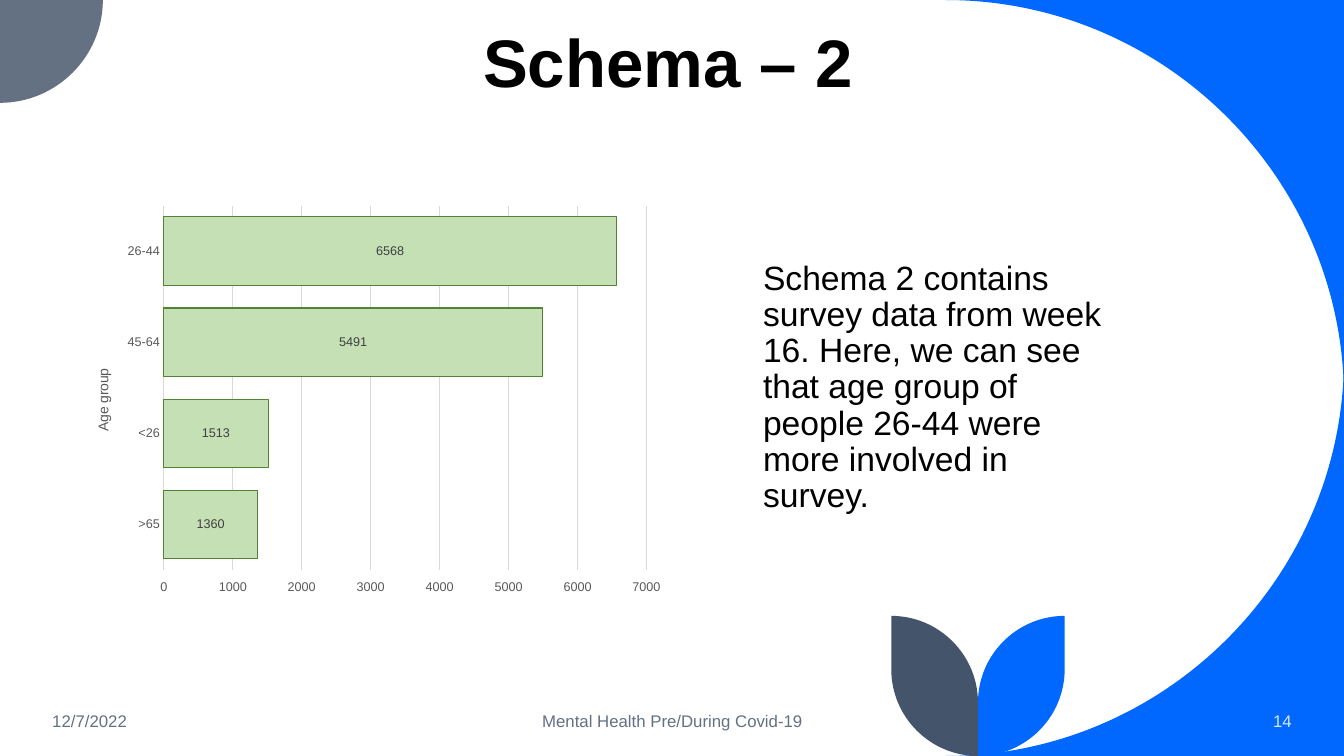
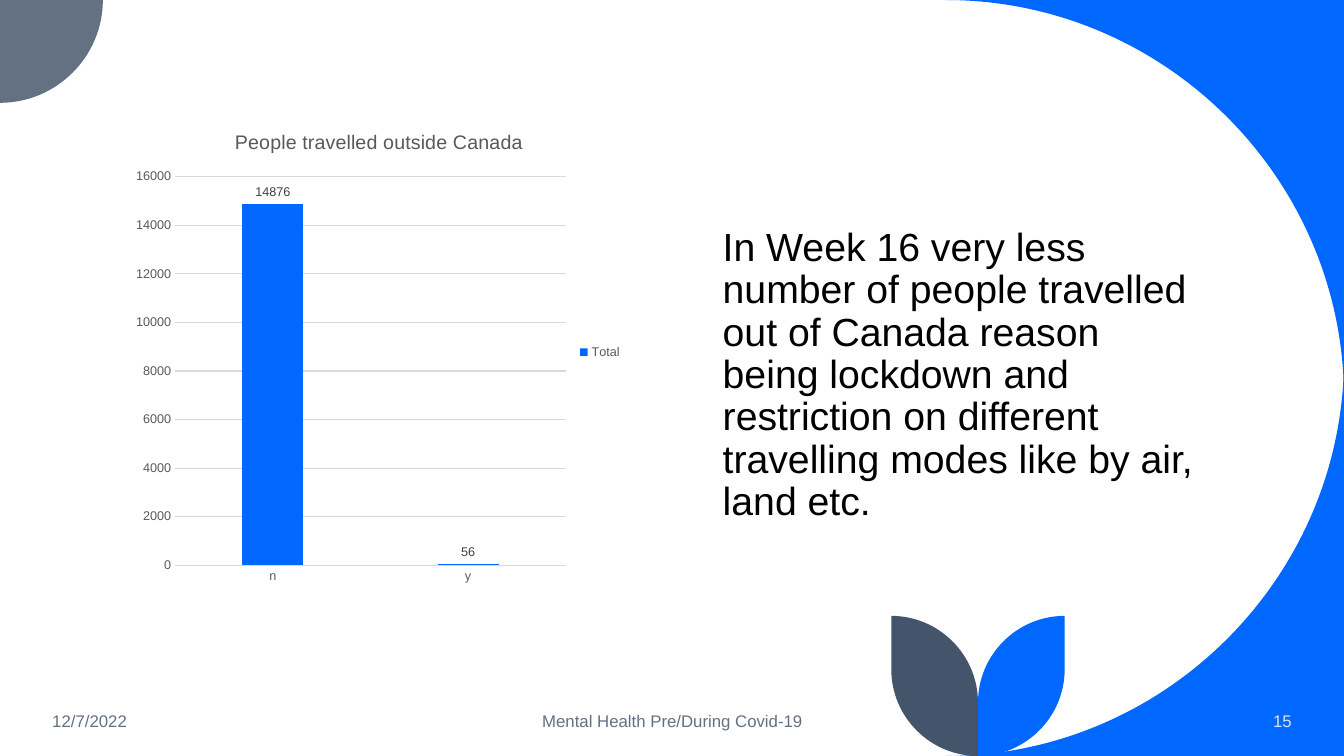
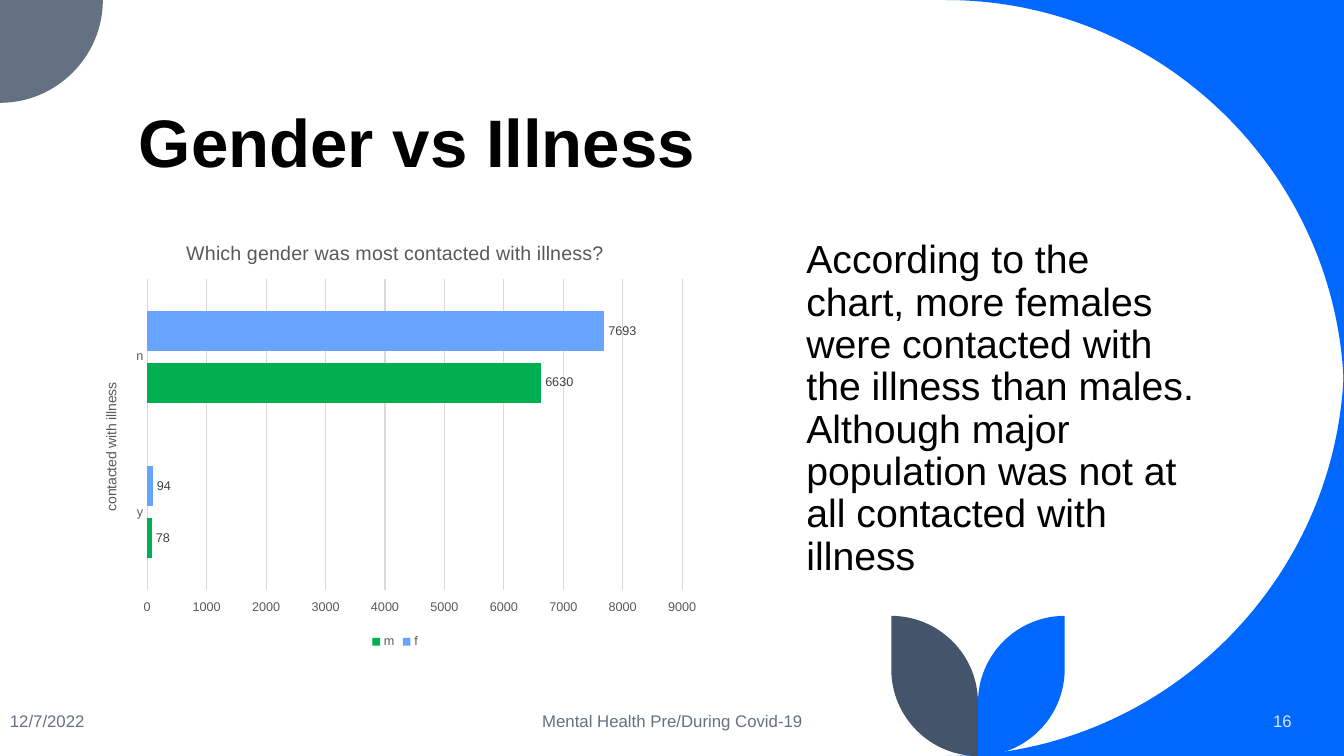
"""Build three survey slides, each with a chart and a short comment."""
from math import cos, radians, sin

from pptx import Presentation
from pptx.chart.data import CategoryChartData
from pptx.dml.color import RGBColor
from pptx.enum.chart import (
    XL_CHART_TYPE as ChartType,
    XL_LABEL_POSITION as LabelPosition,
    XL_LEGEND_POSITION as LegendPosition,
    XL_TICK_LABEL_POSITION as TickLabelPosition,
    XL_TICK_MARK as TickMark,
)
from pptx.enum.text import MSO_ANCHOR as Anchor, PP_ALIGN as Align
from pptx.oxml.ns import qn
from pptx.util import Inches, Pt

FONT = "Arial"
COLOURS = {
    "blue": "0068FF", "sky": "66A4FF", "green": "00B050", "mint": "C5E0B4",
    "moss": "548235", "slate": "637183", "navy": "44546A", "pale": "DAE5EF",
    "black": "000000", "label": "404040", "axis": "595959", "grid": "D9D9D9",
}
CURVE_RATIO = 0.55
LEAF_X, LEAF_R = 9.7, 0.86
DECORATIONS = [
    {"colour": "blue", "arcs": [(9.38, 3.95, 3.95, 270)], "corners": [(13.33, 0)]},
    {"colour": "blue", "arcs": [(9.38, 3.55, 3.95, 0)], "corners": [(13.33, 7.5)]},
    {"colour": "slate", "arcs": [(0, 0, 1.02, 0)], "corners": [(0, 0)]},
    {"colour": "blue", "corners": [],
     "arcs": [(LEAF_X, 6.64, LEAF_R, 0), (LEAF_X + LEAF_R, 6.97, LEAF_R, 180)]},
    {"colour": "navy", "corners": [],
     "arcs": [(LEAF_X, 6.64, LEAF_R, 90), (LEAF_X - LEAF_R, 6.97, LEAF_R, 270)]},
]
DATE, FOOTER = "12/7/2022", "Mental Health Pre/During Covid-19"
SLIDES = [
    {
        "number": "14", "date_left": 0.42,
        "title": ("Schema – 2", (1.28, 0.18, 10.69, 0.88), Align.CENTER),
        "body": ("Schema 2 contains survey data from week 16. Here, we can see that "
                 "age group of people 26-44 were more involved in survey.",
                 (7.47, 2.54, 3.64, 2.42), 24),
        "chart": {
            "type": ChartType.BAR_STACKED, "place": (0.73, 1.96, 5.94, 4.02),
            "axis_title": "Age group", "reverse": True, "gap": 33, "overlap": 100,
            "labels": LabelPosition.CENTER,
            "categories": ["26-44", "45-64", "<26", ">65"],
            "series": [("Series 1", [6568, 5491, 1513, 1360], "mint", "moss")],
        },
    },
    {
        "number": "15", "date_left": 0.42,
        "body": ("In Week 16 very less number of people travelled out of Canada reason "
                 "being lockdown and restriction on different travelling modes like "
                 "by air, land etc.", (7.07, 2.21, 4.9, 3.27), 28),
        "chart": {
            "type": ChartType.COLUMN_CLUSTERED, "place": (1.25, 1.1, 5.02, 4.79),
            "title": "People travelled outside Canada",
            "legend": LegendPosition.RIGHT, "gap": 219, "overlap": -27,
            "labels": LabelPosition.OUTSIDE_END,
            "categories": ["n", "y"],
            "series": [("Total", [14876, 56], "blue", None)],
        },
    },
    {
        "number": "16", "date_left": 0,
        "title": ("Gender vs Illness", (1.28, 0.41, 10.69, 1.45), Align.LEFT),
        "body": ("According to the chart, more females were contacted with the illness "
                 "than males. Although major population was not at all contacted with "
                 "illness", (7.9, 2.33, 4.07, 3.55), 28),
        "chart": {
            "type": ChartType.BAR_CLUSTERED, "place": (0.81, 2.21, 6.22, 4.27),
            "title": "Which gender was most contacted with illness?",
            "axis_title": "contacted with illness", "reverse": True,
            "legend": LegendPosition.BOTTOM, "gap": 160, "overlap": -30,
            "labels": LabelPosition.OUTSIDE_END,
            "categories": ["n", "y"],
            "series": [("f", [7693, 94], "sky", None), ("m", [6630, 78], "green", None)],
        },
    },
]


def rgb(name):
    return RGBColor.from_string(COLOURS[name])


def set_font(font, size, colour, bold=False):
    for key, value in {"name": FONT, "size": Pt(size), "bold": bold}.items():
        setattr(font, key, value)
    font.color.rgb = rgb(colour)


def set_line(line, colour):
    line.color.rgb = rgb(colour)
    line.width = Pt(0.75)


def add_text(page, text, place, size, colour, align=Align.LEFT, anchor=Anchor.TOP,
             bold=False, spacing=1.0, before=0):
    frame = page.shapes.add_textbox(*map(Inches, place)).text_frame
    frame.word_wrap = True
    frame.vertical_anchor = anchor
    para = frame.paragraphs[0]
    formats = {"alignment": align, "line_spacing": spacing, "space_before": Pt(before)}
    for key, value in formats.items():
        setattr(para, key, value)
    span = para.add_run()
    span.text = text
    set_font(span.font, size, colour, bold)


def arc_points(centre_x, centre_y, radius, start):
    """Return the four Bezier points of a clockwise quarter circle."""
    points = []
    for angle, pulls in ((start, (0, CURVE_RATIO)), (start + 90, (-CURVE_RATIO, 0))):
        across, down = cos(radians(angle)), sin(radians(angle))
        points += [(centre_x + radius * (across - pull * down),
                    centre_y + radius * (down + pull * across)) for pull in pulls]
    return points


def add_decoration(page, colour, arcs, corners):
    points = [point for arc in arcs for point in arc_points(*arc)] + corners
    outline = [(Inches(x), Inches(y)) for x, y in points]
    builder = page.shapes.build_freeform(*outline[0])
    builder.add_line_segments(outline[1:], close=True)
    shape = builder.convert_to_shape()
    track = next(shape.element.iter(qn("a:path")))
    segments = list(track)
    for first in range(1, 4 * len(arcs), 4):
        curve, *others = segments[first:first + 3]
        curve.tag = qn("a:cubicBezTo")
        for segment in others:
            curve.append(segment[0])
            track.remove(segment)
    shape.shadow.inherit = False
    shape.fill.solid()
    shape.fill.fore_color.rgb = rgb(colour)
    shape.line.fill.background()


def fill_heading(heading, text, size):
    frame = heading.text_frame
    frame.text = text
    set_font(frame.paragraphs[0].runs[0].font, size, "axis")


def style_axes(chart, info):
    category, value = chart.category_axis, chart.value_axis
    for axis in (category, value):
        axis.major_tick_mark = axis.minor_tick_mark = TickMark.NONE
        set_font(axis.tick_labels.font, 9, "axis")
    set_line(category.format.line, "grid")
    category.has_major_gridlines = False
    value.format.line.fill.background()
    value.has_major_gridlines = True
    set_line(value.major_gridlines.format.line, "grid")
    if info.get("reverse"):
        category.reverse_order = True
        value.tick_label_position = TickLabelPosition.HIGH
    if "axis_title" in info:
        fill_heading(category.axis_title, info["axis_title"], 10)


def add_chart(page, info):
    data = CategoryChartData()
    data.categories = info["categories"]
    for name, values, *_ in info["series"]:
        data.add_series(name, values)
    chart = page.shapes.add_chart(info["type"], *map(Inches, info["place"]), data).chart
    set_font(chart.font, 10, "black")
    chart.has_title = "title" in info
    if chart.has_title:
        fill_heading(chart.chart_title, info["title"], 14)
    chart.has_legend = "legend" in info
    if chart.has_legend:
        chart.legend.position = info["legend"]
        chart.legend.include_in_layout = False
        set_font(chart.legend.font, 9, "axis")
    style_axes(chart, info)
    plot = chart.plots[0]
    formats = {"gap_width": info["gap"], "overlap": info["overlap"],
               "vary_by_categories": False, "has_data_labels": True}
    for key, value in formats.items():
        setattr(plot, key, value)
    plot.data_labels.show_value = True
    plot.data_labels.position = info["labels"]
    set_font(plot.data_labels.font, 9, "label")
    for series, (_, _, fill, edge) in zip(plot.series, info["series"]):
        series.invert_if_negative = False
        series.format.fill.solid()
        series.format.fill.fore_color.rgb = rgb(fill)
        if edge:
            set_line(series.format.line, edge)


def add_page(deck, info):
    page = deck.slides.add_slide(deck.slide_layouts[6])
    for decoration in DECORATIONS:
        add_decoration(page, **decoration)
    if "title" in info:
        text, place, align = info["title"]
        add_text(page, text, place, 48, "black", align, Anchor.BOTTOM, True, 0.9)
    text, place, size = info["body"]
    add_text(page, text, place, size, "black", spacing=0.9, before=10)
    footers = [
        (DATE, info["date_left"], 3, "slate", Align.LEFT),
        (FOOTER, 4.42, 4.5, "slate", Align.CENTER),
        (info["number"], 11.1, 1.81, "pale", Align.RIGHT),
    ]
    for text, left, width, colour, align in footers:
        add_text(page, text, (left, 6.95, width, 0.4), 12, colour, align, Anchor.MIDDLE)
    add_chart(page, info["chart"])


def main():
    deck = Presentation()
    deck.slide_width, deck.slide_height = Inches(13.33), Inches(7.5)
    for info in SLIDES:
        add_page(deck, info)
    deck.save("out.pptx")


if __name__ == "__main__":
    main()
